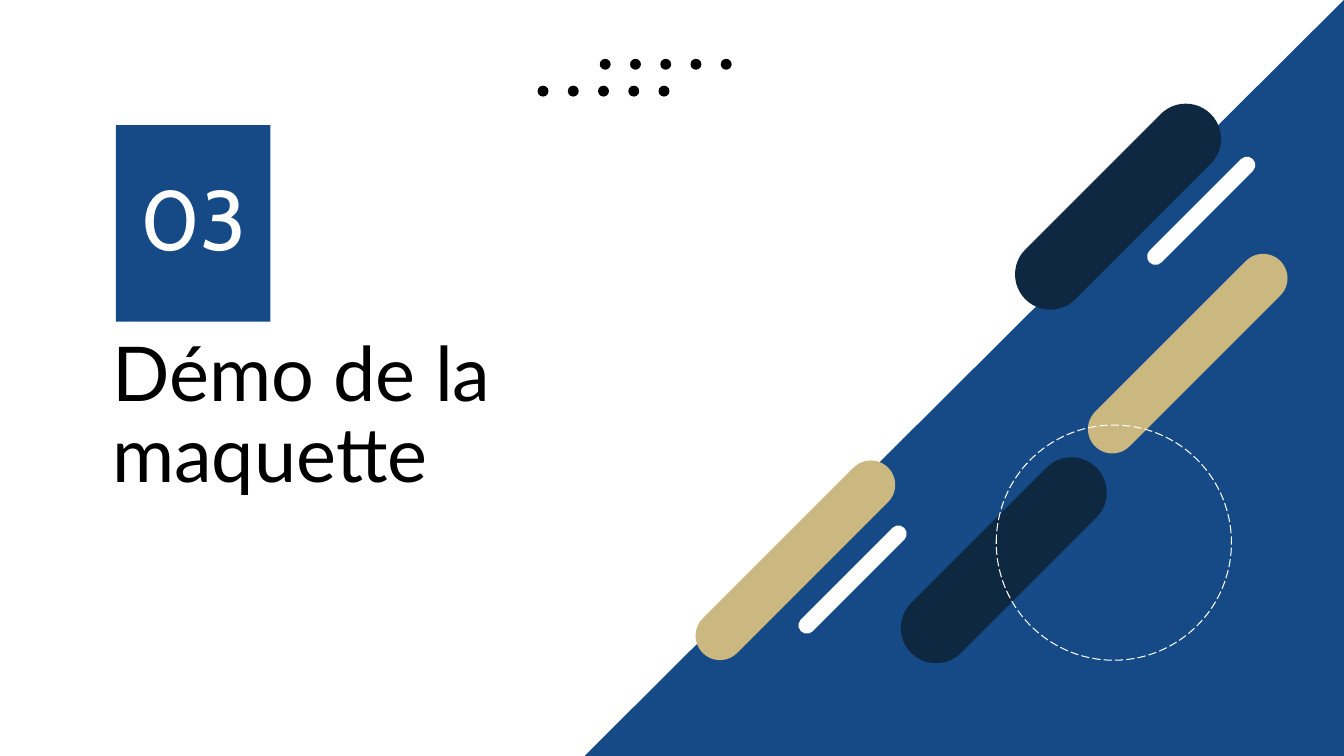
"""Build a section-opening slide with a diagonal band of rounded bars."""
from pptx import Presentation
from pptx.dml.color import RGBColor
from pptx.enum.dml import MSO_LINE
from pptx.enum.shapes import MSO_SHAPE
from pptx.enum.text import MSO_ANCHOR, MSO_AUTO_SIZE, PP_ALIGN
from pptx.util import Inches, Pt

COLORS = {
    "blue": "154A86",
    "navy": "0E2841",
    "gold": "CBB780",
    "white": "FFFFFF",
    "black": "000000",
}
COLUMNS = 16
TITLE_LAYOUT = 5


class SectionSlide:
    """Hold the style, the grid and the current slide."""

    def __init__(self, deck):
        self.page = deck.slides.add_slide(deck.slide_layouts[TITLE_LAYOUT])
        self.cell = deck.slide_width / COLUMNS
        background = self.page.background.fill
        background.solid()
        background.fore_color.rgb = self.color("white")

    def color(self, name):
        """Return the named palette colour."""
        return RGBColor.from_string(COLORS[name])

    def place(self, *lengths):
        """Turn columns and rows into slide lengths."""
        return [round(length * self.cell) for length in lengths]

    def shape(self, kind, left, top, width, height, fill=None):
        """Add a preset shape without outline or shadow."""
        box = self.page.shapes.add_shape(kind, *self.place(left, top, width, height))
        box.shadow.inherit = False
        box.line.fill.background()
        if fill:
            box.fill.solid()
            box.fill.fore_color.rgb = self.color(fill)
        else:
            box.fill.background()
        return box

    def dots(self, left, top, count=5, step=0.36, size=0.13):
        """Add a row of evenly spaced dots."""
        for index in range(count):
            self.shape(MSO_SHAPE.OVAL, left + index * step, top, size, size, "black")

    def corner(self, left):
        """Fill the lower right corner with a triangle."""
        triangle = self.shape(MSO_SHAPE.RIGHT_TRIANGLE, left, 0, COLUMNS - left, 9, "blue")
        triangle.element.spPr.get_or_add_xfrm().set("flipH", "1")

    def bar(self, center_x, center_y, length, thickness, fill):
        """Add a rounded diagonal bar around its centre."""
        bar = self.shape(MSO_SHAPE.ROUNDED_RECTANGLE, center_x - length / 2,
                         center_y - thickness / 2, length, thickness, fill)
        bar.adjustments[0] = 0.5
        bar.rotation = 315

    def ring(self, left, top, size):
        """Add a dashed circle outline."""
        ring = self.shape(MSO_SHAPE.OVAL, left, top, size, size)
        ring.line.color.rgb = self.color("white")
        ring.line.width = Pt(0.75)
        ring.line.dash_style = MSO_LINE.LONG_DASH

    def label(self, box, text, font, size, color, align, anchor):
        """Put one formatted paragraph into a box."""
        frame = box.text_frame
        frame.word_wrap = True
        frame.auto_size = MSO_AUTO_SIZE.NONE
        frame.vertical_anchor = anchor
        frame.margin_left = frame.margin_right = Inches(0.13)
        frame.margin_top = frame.margin_bottom = Inches(0.13)
        para = frame.paragraphs[0]
        para.text = text
        para.alignment = align
        para.line_spacing = 0.9
        para.font.name = font
        para.font.size = Pt(size)
        para.font.color.rgb = self.color(color)

    def title(self, text, left, top, width, height):
        """Move and fill the title placeholder."""
        box = self.page.shapes.title
        box.left, box.top, box.width, box.height = self.place(left, top, width, height)
        self.label(box, text, "Lato", 54, "black", PP_ALIGN.LEFT, MSO_ANCHOR.BOTTOM)

    def number(self, text, left, top, width, height):
        """Add the section number on a coloured block."""
        box = self.shape(MSO_SHAPE.RECTANGLE, left, top, width, height, "blue")
        self.label(box, text, "Cabin", 60, "white", PP_ALIGN.CENTER, MSO_ANCHOR.MIDDLE)


def main():
    """Compose and save the slide."""
    deck = Presentation()
    deck.slide_width, deck.slide_height = Inches(13.333), Inches(7.5)
    section = SectionSlide(deck)

    section.dots(7.14, 0.7)
    section.dots(6.4, 1.02)
    section.corner(6.96)
    for center_x, center_y, length, thickness, fill in (
        (9.47, 6.67, 3.12, 0.58, "gold"),
        (14.14, 4.21, 3.12, 0.58, "gold"),
        (13.31, 2.46, 3.12, 0.84, "navy"),
        (11.95, 6.67, 3.12, 0.84, "navy"),
        (14.3, 2.51, 1.74, 0.2, "white"),
        (10.15, 6.9, 1.74, 0.2, "white"),
    ):
        section.bar(center_x, center_y, length, thickness, fill)
    section.ring(11.86, 5.06, 2.8)
    section.title("Démo de la maquette", 1.18, 4.32, 8.41, 1.78)
    section.number("03", 1.38, 1.49, 1.84, 2.34)

    deck.save("out.pptx")


if __name__ == "__main__":
    main()
